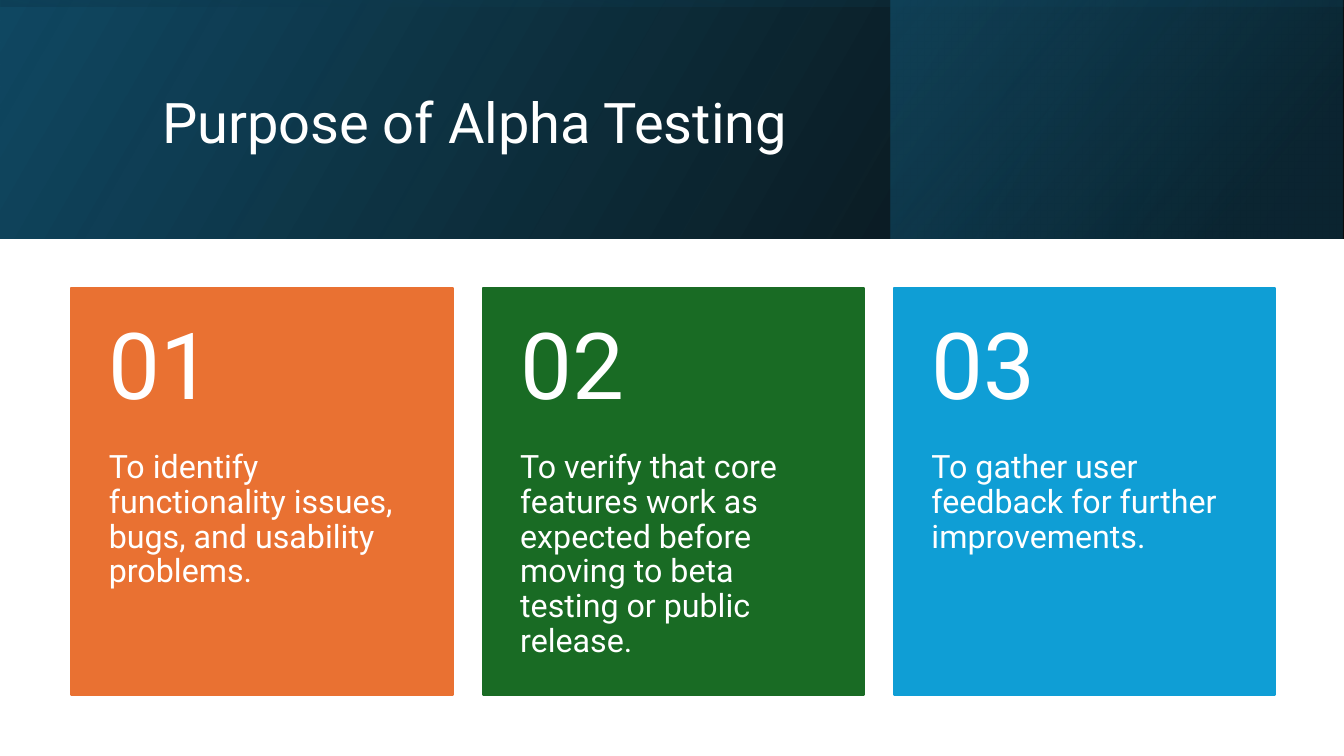
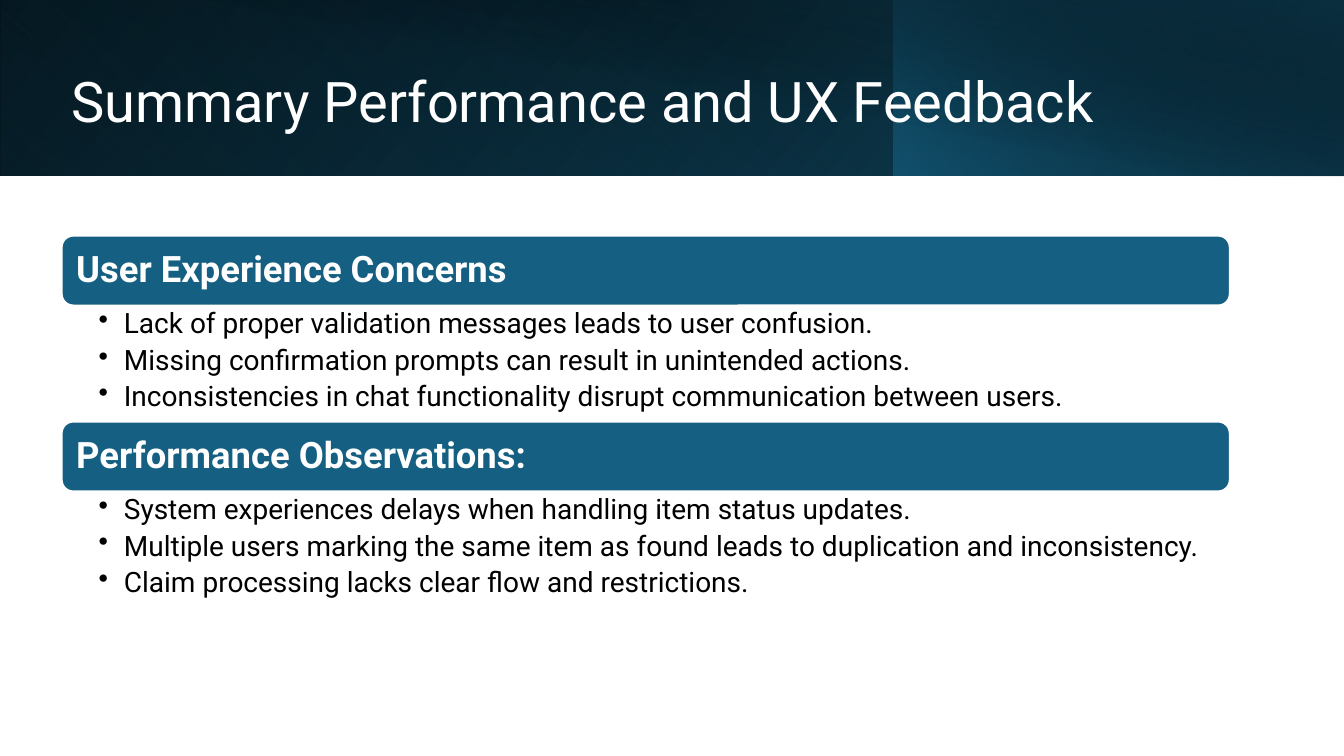
from lxml import etree
from pptx import Presentation
from pptx.dml.color import RGBColor
from pptx.enum.shapes import MSO_SHAPE
from pptx.enum.text import MSO_ANCHOR
from pptx.oxml import parse_xml
from pptx.oxml.ns import nsdecls, qn
from pptx.util import Pt

RECT = MSO_SHAPE.RECTANGLE
ROUNDED = MSO_SHAPE.ROUNDED_RECTANGLE
TOP = MSO_ANCHOR.TOP
MIDDLE = MSO_ANCHOR.MIDDLE

FONT = "Roboto"
COLORS = {
    "white": "FFFFFF", "black": "000000", "navy": "104862", "deep": "0B3041",
    "teal": "156082", "orange": "E97132", "green": "196B24", "blue": "0F9ED5",
}
WIDTH, HEIGHT = 960, 540

PURPOSE = {
    "title": "Purpose of Alpha Testing",
    "title_area": (108.7, 27.4, 765.4, 123.8),
    "bands": [
        {"area": (0, 0, WIDTH, 170.6), "flip": True, "angle": 330,
         "stops": [(0, "black", 96), (100, "navy", 100)]},
        {"area": (636.5, 0, 322.6, 170.6), "flip": True, "angle": 320,
         "stops": [(19, "deep", 68), (100, "teal", 48)]},
        {"area": (394.7, -394.7, 170.6, WIDTH), "flip": True, "angle": 350, "turn": 270,
         "stops": [(23, "navy", 16), (99, "black", 45)]},
    ],
    "cards": [
        ("orange", "To identify functionality issues, bugs, and usability problems."),
        ("green", "To verify that core features work as expected before moving to beta "
                  "testing or public release."),
        ("blue", "To gather user feedback for further improvements."),
    ],
}

SUMMARY = {
    "title": "Summary Performance and UX Feedback",
    "title_area": (43.9, 33.8, 779, 81.4),
    "bands": [
        {"area": (0, 0, WIDTH, 125.3), "flip": True, "angle": 140,
         "stops": [(0, "black", 100), (100, "navy", 100)]},
        {"area": (0, 0, 639.4, 125.3), "flip": True, "angle": 230, "turn": 180,
         "stops": [(20, "teal", 0), (100, "deep", 55)]},
        {"area": (638.6, 0, 321.4, 125.3), "flip": True, "angle": 220,
         "stops": [(0, "teal", 66), (100, "black", 30)]},
        {"area": (36, 0, 924, 126), "flip": False, "angle": 280,
         "stops": [(50, "black", 0), (99, "deep", 52)]},
    ],
    "sections": [
        ("User Experience Concerns", [
            "Lack of proper validation messages leads to user confusion.",
            "Missing confirmation prompts can result in unintended actions.",
            "Inconsistencies in chat functionality disrupt communication between users.",
        ]),
        ("Performance Observations:", [
            "System experiences delays when handling item status updates.",
            "Multiple users marking the same item as found leads to duplication and inconsistency.",
            "Claim processing lacks clear flow and restrictions.",
        ]),
    ],
}


def color(name):
    return RGBColor.from_string(COLORS[name])


def points(area):
    return [Pt(value) for value in area]


def add_block(page, kind, area, fill=None, line=None):
    block = page.shapes.add_shape(kind, *points(area))
    block.shadow.inherit = False
    if fill:
        block.fill.solid()
        block.fill.fore_color.rgb = color(fill)
    if line:
        block.line.color.rgb = color(line)
        block.line.width = Pt(1.5)
    else:
        block.line.fill.background()
    return block


def add_band(page, band):
    block = add_block(page, RECT, band["area"])
    block.rotation = band.get("turn", 0)
    properties = block.element.spPr
    if band["flip"]:
        properties.find(qn("a:xfrm")).set("flipH", "1")
    stops = "".join(
        f'<a:gs pos="{place * 1000}"><a:srgbClr val="{COLORS[name]}">'
        f'<a:alpha val="{opacity * 1000}"/></a:srgbClr></a:gs>'
        for place, name, opacity in band["stops"])
    gradient = parse_xml(
        f'<a:gradFill {nsdecls("a")} rotWithShape="1"><a:gsLst>{stops}</a:gsLst>'
        f'<a:lin ang="{band["angle"] * 60000}" scaled="0"/></a:gradFill>')
    properties.find(qn("a:prstGeom")).addnext(gradient)


def write(box, lines, size, tint="white", bold=False, anchor=TOP,
          insets=(7.2, 3.6, 7.2, 3.6), bullets=False):
    frame = box.text_frame
    frame.word_wrap = True
    frame.vertical_anchor = anchor
    (frame.margin_left, frame.margin_top,
     frame.margin_right, frame.margin_bottom) = points(insets)
    for index, text in enumerate(lines):
        para = frame.paragraphs[0] if index == 0 else frame.add_paragraph()
        para.alignment = 1
        para.line_spacing = 0.9
        if bullets:
            para.space_after = Pt(4.6)
            settings = para._p.get_or_add_pPr()
            settings.set("marL", str(Pt(18)))
            settings.set("indent", str(-Pt(18)))
            etree.SubElement(settings, qn("a:buChar")).set("char", "•")
        span = para.add_run()
        span.text = text
        span.font.name = FONT
        span.font.size = Pt(size)
        span.font.bold = bold
        span.font.color.rgb = color(tint)


def add_text(page, area, lines, size, **style):
    write(page.shapes.add_textbox(*points(area)), lines, size, **style)


def add_page(deck, content):
    page = deck.slides.add_slide(deck.slide_layouts[6])
    for band in content["bands"]:
        add_band(page, band)
    add_text(page, content["title_area"], [content["title"]], 40, anchor=MIDDLE)
    return page


def add_cards(page, cards):
    left, top, width, height, pitch, number_height = 51, 205.9, 272.4, 290.2, 293.8, 116
    for index, (fill, text) in enumerate(cards):
        x = left + index * pitch
        add_block(page, RECT, (x, top, width, height), fill, fill)
        add_text(page, (x, top + number_height, width, height - number_height), [text], 23,
                 insets=(26.8, 0, 26.8, 26))
        add_text(page, (x, top, width, number_height), [f"{index + 1:02}"], 66,
                 anchor=MIDDLE, insets=(26.8, 13, 26.8, 13))


def add_sections(page, sections):
    left, top, width, bar_height, list_height = 44, 168.3, 834.5, 50, 82.8
    for index, (heading, items) in enumerate(sections):
        y = top + index * (bar_height + list_height)
        bar = add_block(page, ROUNDED, (left, y, width, bar_height), "teal", "white")
        write(bar, [heading], 26, bold=True, anchor=MIDDLE, insets=(8, 8, 8, 8))
        add_text(page, (left, y + bar_height, width, list_height), items, 20, tint="black",
                 insets=(26.5, 2.6, 14.4, 2.6), bullets=True)


def main():
    deck = Presentation()
    deck.slide_width, deck.slide_height = Pt(WIDTH), Pt(HEIGHT)
    add_cards(add_page(deck, PURPOSE), PURPOSE["cards"])
    add_sections(add_page(deck, SUMMARY), SUMMARY["sections"])
    deck.save("out.pptx")


if __name__ == "__main__":
    main()
